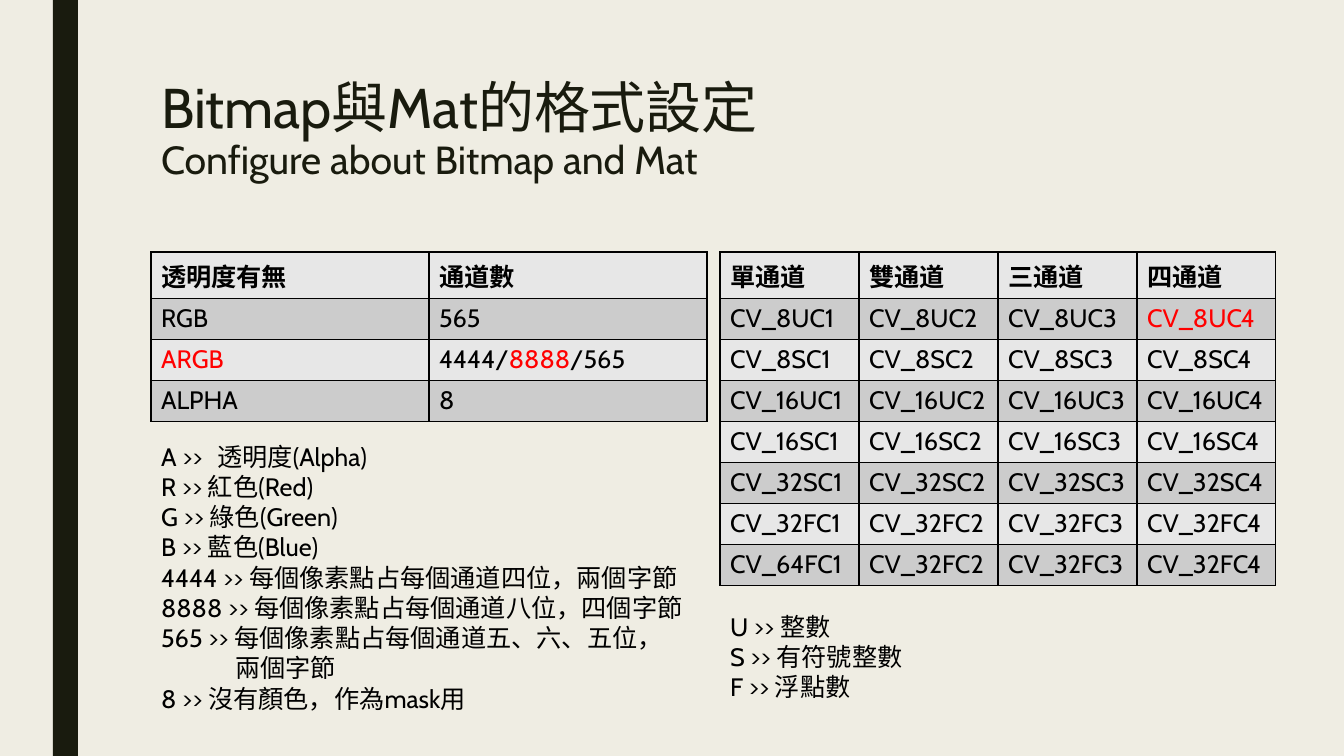
from dataclasses import dataclass

from lxml.etree import SubElement
from pptx import Presentation
from pptx.dml.color import RGBColor as Rgb
from pptx.enum.shapes import MSO_SHAPE as Preset
from pptx.enum.text import MSO_ANCHOR as Anchor, MSO_AUTO_SIZE as AutoSize, PP_ALIGN as Align
from pptx.oxml.ns import qn
from pptx.util import Emu, Pt


@dataclass(frozen=True)
class Theme:
    font: str = "Cabin"
    paper: Rgb = Rgb(0xEF, 0xED, 0xE3)
    olive: Rgb = Rgb(0x19, 0x1B, 0x0E)
    ink: Rgb = Rgb(0, 0, 0)
    accent: Rgb = Rgb(0xFF, 0, 0)
    bands: tuple = (Rgb(0xE7, 0xE7, 0xE7), Rgb(0xCC, 0xCC, 0xCC))
    heading: Pt = Pt(40)
    subheading: Pt = Pt(28)
    text: Pt = Pt(18)


THEME = Theme()
PIXEL = 914400 / 100.8


def px(*lengths):
    return [Emu(round(length * PIXEL)) for length in lengths]


def write(paragraph, text, color, size=THEME.text, bold=False):
    run = paragraph.add_run()
    run.text = text
    looks = {"name": THEME.font, "size": size, "bold": bold}
    for key, value in looks.items():
        setattr(run.font, key, value)
    run.font.color.rgb = color


# Page and side bar
deck = Presentation()
deck.slide_width, deck.slide_height = px(1344, 756)
slide = deck.slides.add_slide(deck.slide_layouts[3])
slide.background.fill.solid()
slide.background.fill.fore_color.rgb = THEME.paper
side_bar = slide.shapes.add_shape(Preset.RECTANGLE, *px(53, 0, 25, 756))
side_bar.shadow.inherit = False
side_bar.fill.solid()
side_bar.fill.fore_color.rgb = THEME.olive
side_bar.line.fill.background()

# Placeholders: heading, bitmap legend, mat legend
heading, bitmap_legend, mat_legend = slide.placeholders
places = [(heading, (151, 76, 1058, 163)),
          (bitmap_legend, (151, 436, 555, 285)),
          (mat_legend, (720, 606, 555, 102))]
frame_format = {"word_wrap": True, "auto_size": AutoSize.NONE, "vertical_anchor": Anchor.TOP}
for part, box in places:
    for side, length in zip(("left", "top", "width", "height"), px(*box)):
        setattr(part, side, length)
    for key, value in frame_format.items():
        setattr(part.text_frame, key, value)

# Heading in two sizes
title_line = heading.text_frame.paragraphs[0]
title_line.alignment = Align.LEFT
title_line.line_spacing = 0.89
write(title_line, "Bitmap與Mat的格式設定", THEME.olive, THEME.heading)
title_line.add_line_break()
write(title_line, "Configure about Bitmap and Mat", THEME.olive, THEME.subheading)

# Table contents
bitmap_rows = [["透明度有無", "通道數"],
               ["RGB", "565"],
               ["ARGB", "4444/|8888|/565"],
               ["ALPHA", "8"]]
depths = ["8U", "8S", "16U", "16S", "32S", "32F"]
mat_rows = [["單通道", "雙通道", "三通道", "四通道"]]
mat_rows += [[f"CV_{depth}C{channel}" for channel in range(1, 5)] for depth in depths]
mat_rows.append(["CV_64FC1", *mat_rows[-1][1:]])
highlighted = {"ARGB", "8888", "CV_8UC4"}

# Both tables
ROW_HEIGHT = 41
for left, column_width, rows in [(151, 278, bitmap_rows), (720, 139, mat_rows)]:
    row_count, column_count = len(rows), len(rows[0])
    box = px(left, 252, column_width * column_count, ROW_HEIGHT * row_count)
    table = slide.shapes.add_table(row_count, column_count, *box).table
    for column in table.columns:
        column.width, = px(column_width)
    for row_number, row in enumerate(rows):
        table.rows[row_number].height, = px(ROW_HEIGHT)
        for column_number, entry in enumerate(row):
            cell = table.cell(row_number, column_number)
            for piece in entry.split("|"):
                color = THEME.accent if piece in highlighted else THEME.ink
                write(cell.text_frame.paragraphs[0], piece, color, bold=row_number == 0)
            cell_format = cell._tc.get_or_add_tcPr()
            for edge in ("a:lnL", "a:lnR", "a:lnT", "a:lnB"):
                border = SubElement(cell_format, qn(edge), w=str(Pt(1)))
                ink = SubElement(border, qn("a:solidFill"))
                SubElement(ink, qn("a:srgbClr"), val=str(THEME.ink))
            cell.fill.solid()
            cell.fill.fore_color.rgb = THEME.bands[row_number % 2]

# Legends: an entry is its text and its indent in pixels
bitmap_entries = [("A >>\t 透明度(Alpha)", 0),
                  ("R >> 紅色(Red)", 0),
                  ("G >> 綠色(Green)", 0),
                  ("B >> 藍色(Blue)", 0),
                  ("4444 >> 每個像素點占每個通道四位，兩個字節", 0),
                  ("8888 >> 每個像素點占每個通道八位，四個字節", 0),
                  ("565 >> 每個像素點占每個通道五、六、五位，", 0),
                  ("兩個字節", 74),
                  ("8 >> 沒有顏色，作為mask用", 0)]
mat_entries = [("U >> 整數", 0), ("S >> 有符號整數", 0), ("F >> 浮點數", 0)]
line_format = {"alignment": Align.LEFT, "line_spacing": 1.0,
               "space_before": Pt(0), "space_after": Pt(0)}
TAB_STOP, = px(50)
for legend, entries in [(bitmap_legend, bitmap_entries), (mat_legend, mat_entries)]:
    frame = legend.text_frame
    for number, (entry, indent) in enumerate(entries):
        line = frame.add_paragraph() if number else frame.paragraphs[0]
        for key, value in line_format.items():
            setattr(line, key, value)
        write(line, entry, THEME.ink)
        layout = line._p.get_or_add_pPr()
        layout.set("marL", str(px(indent)[0]))
        layout.set("indent", "0")
        SubElement(layout, qn("a:buNone"))
        if "\t" in entry:
            stops = SubElement(layout, qn("a:tabLst"))
            SubElement(stops, qn("a:tab"), pos=str(TAB_STOP), algn="l")

deck.save("out.pptx")
